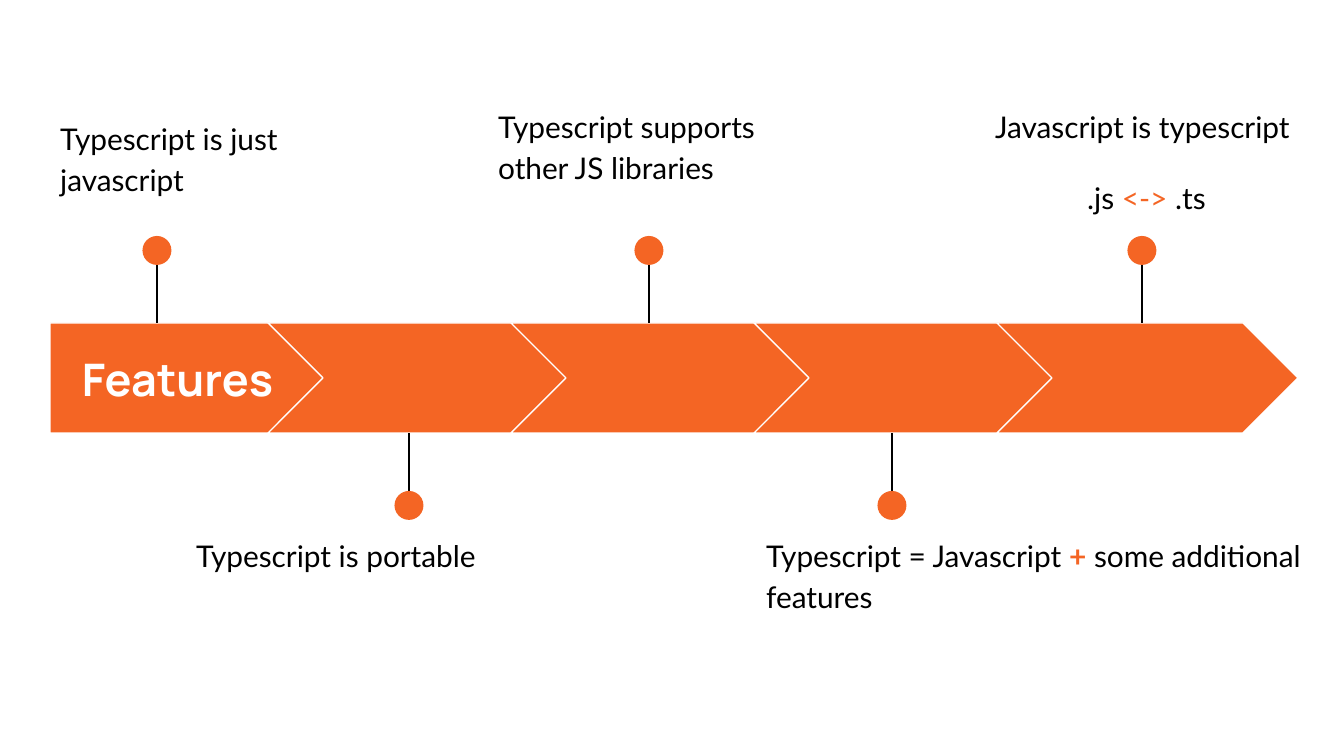
import pptx
import pptx.util
import pptx.dml.color
import pptx.enum.shapes
import pptx.enum.text
import pptx.oxml

COLORS = {"accent": "F46524", "text": "000000", "light": "FFFFFF"}
SCALE = 914400 / 134.4
SHAPES = pptx.enum.shapes.MSO_SHAPE
ALIGN = pptx.enum.text.PP_ALIGN
ANCHOR = pptx.enum.text.MSO_ANCHOR

TITLE = "Features"
FEATURES = [
    {"pin": 157, "text": (47, 102, 329),
     "lines": [[("Typescript is just javascript", "text", False)]]},
    {"pin": 409, "text": (183, 519, 329),
     "lines": [[("Typescript is portable", "text", False)]]},
    {"pin": 649, "text": (485, 90, 329),
     "lines": [[("Typescript supports other JS libraries", "text", False)]]},
    {"pin": 892, "text": (753, 519, 563),
     "lines": [[("Typescript = Javascript ", "text", False), ("+", "accent", True),
                (" some additional features", "text", False)]]},
    {"pin": 1142, "text": (982, 90, 329),
     "lines": [[("Javascript is typescript", "text", False)],
               [(".js ", "text", False), ("<->", "accent", False), (" .ts", "text", False)]]},
]

BAND_TOP, BAND_HEIGHT = 323, 110
BAND_BOTTOM = BAND_TOP + BAND_HEIGHT
FIRST_LEFT, FIRST_WIDTH = 50, 275
CHEVRON_LEFT, CHEVRON_WIDTH, CHEVRON_PITCH = 268, 301, 243
DOT, PIN_LENGTH = 29, 81
DOT_OFFSET = 87
TEXT_HEIGHT = 133


def px(value):
    return pptx.util.Emu(round(value * SCALE))


def color(name):
    return pptx.dml.color.RGBColor.from_string(COLORS[name])


def add_shape(slide, kind, left, top, width, height, outline=None):
    shape = slide.shapes.add_shape(kind, px(left), px(top), px(width), px(height))
    shape.shadow.inherit = False
    shape.fill.solid()
    shape.fill.fore_color.rgb = color("accent")
    if outline:
        shape.line.color.rgb = color(outline)
        shape.line.width = pptx.util.Pt(0.75)
    else:
        shape.line.fill.background()
    return shape


def add_pin(slide, center, above):
    start, end = (BAND_TOP - PIN_LENGTH, BAND_TOP) if above else (BAND_BOTTOM + PIN_LENGTH, BAND_BOTTOM)
    line = slide.shapes.add_connector(
        pptx.enum.shapes.MSO_CONNECTOR.STRAIGHT, px(center), px(start), px(center), px(end))
    line.line.color.rgb = color("text")
    line.line.width = pptx.util.Pt(0.75)
    properties = line._element.spPr
    properties.append(properties.makeelement(pptx.oxml.ns.qn("a:effectLst"), {}))
    dot_top = BAND_TOP - DOT_OFFSET if above else BAND_BOTTOM + DOT_OFFSET - DOT
    add_shape(slide, SHAPES.OVAL, center - DOT / 2, dot_top, DOT, DOT)


def add_text(slide, box, lines, font, size, anchor=ANCHOR.TOP, spacing=None, after=0):
    frame = slide.shapes.add_textbox(*map(px, box)).text_frame
    frame.word_wrap = True
    frame.vertical_anchor = anchor
    frame.margin_left = frame.margin_right = pptx.util.Inches(0.1)
    frame.margin_top = frame.margin_bottom = pptx.util.Inches(0.1)
    for index, parts in enumerate(lines):
        paragraph = frame.add_paragraph() if index else frame.paragraphs[0]
        paragraph.line_spacing = spacing
        paragraph.space_after = pptx.util.Pt(after)
        for text, tone, bold in parts:
            run = paragraph.add_run()
            run.text = text
            run.font.name = font
            run.font.size = pptx.util.Pt(size)
            run.font.bold = bold
            run.font.color.rgb = color(tone)
    return frame


def main():
    presentation = pptx.Presentation()
    presentation.slide_width, presentation.slide_height = px(1344), px(756)
    slide = presentation.slides.add_slide(presentation.slide_layouts[6])

    for index, feature in enumerate(FEATURES):
        if index == 0:
            kind, left, width = SHAPES.PENTAGON, FIRST_LEFT, FIRST_WIDTH
        else:
            kind, width = SHAPES.CHEVRON, CHEVRON_WIDTH
            left = CHEVRON_LEFT + (index - 1) * CHEVRON_PITCH
        add_shape(slide, kind, left, BAND_TOP, width, BAND_HEIGHT, "light")
        add_pin(slide, feature["pin"], above=index % 2 == 0)
        frame = add_text(slide, (*feature["text"], TEXT_HEIGHT), feature["lines"],
                         "Lato", 16, spacing=1.15, after=16)
        for paragraph in frame.paragraphs[1:]:
            paragraph.alignment = ALIGN.CENTER

    title = add_text(slide, (50, 344, 255, 69), [[(TITLE, "light", True)]],
                     "Manrope", 24, ANCHOR.MIDDLE)
    title.paragraphs[0].alignment = ALIGN.CENTER
    presentation.save("out.pptx")


if __name__ == "__main__":
    main()
